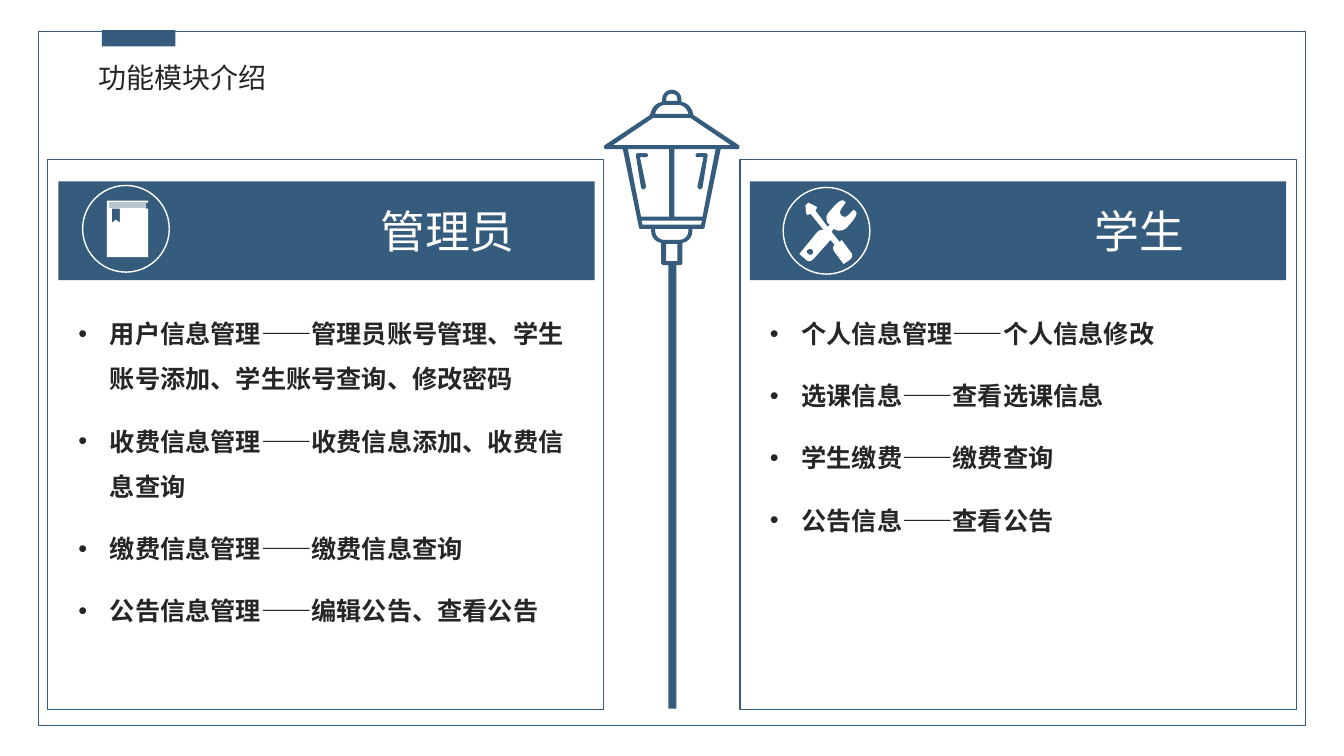
from lxml.etree import SubElement
from pptx import Presentation
from pptx.dml.color import RGBColor
from pptx.enum.shapes import MSO_SHAPE
from pptx.enum.text import MSO_ANCHOR, PP_ALIGN
from pptx.oxml.ns import qn
from pptx.util import Pt

COLORS = {"blue": "355C7D", "white": "FFFFFF", "text": "262626"}
FONT = "Noto Sans CJK SC"
UNIT = Pt(0.72)  # icon outlines are given in this grid unit
LAMP_CENTER = 666.5

# Right half of each lamp contour: x from the lamp's axis, six numbers for a curve
LAMP_HALVES = [
    [(0, 89), (5, 89, 9.5, 93, 9.5, 98), (9.5, 101), (16.5, 102, 20.5, 108, 21.5, 114),
     (66.5, 144), (67.5, 145, 67.5, 148, 65.5, 148), (48.5, 148), (32.5, 226),
     (32.5, 227, 31.5, 227, 30.5, 227), (20.5, 227), (20.5, 229),
     (20.5, 235, 16.5, 240, 10.5, 241), (10.5, 261), (10.5, 262, 9.5, 263, 7.5, 263), (0, 263)],
    [(0, 93), (3, 93, 5.5, 95, 5.5, 98), (5.5, 100), (0, 100)],
    [(0, 104), (6, 104), (11.5, 104, 15.5, 108, 16.5, 113), (0, 113)],
    [(0, 117), (18.5, 117), (58.5, 144), (0, 144)],
    [(0, 219), (30, 219), (29, 223), (0, 223)],
    [(0, 227), (16.5, 227), (16.5, 229), (16.5, 234, 12.5, 238, 7.5, 238), (0, 238)],
    [(0, 242), (5.5, 242), (5.5, 259), (0, 259)],
]
# Contours that stand once on each side of the axis
LAMP_SIDES = [
    [(2.5, 148), (2.5, 215), (30.5, 215), (43.5, 148)],
    [(25.5, 152), (33.5, 152), (34.5, 152, 36, 153, 35.5, 155), (30.5, 186),
     (30, 187, 29, 188, 27.5, 188), (26.5, 187, 25.5, 186, 25.5, 185), (31.5, 156),
     (25.5, 156), (23, 156, 23, 152, 25.5, 152)],
]
TOOLS = [
    [(849, 210), (847, 208), (842, 212, 840, 218, 835, 214), (831, 210, 835, 207, 839, 201),
     (839, 201, 838, 200, 837, 199), (835, 198, 832, 200, 828, 204), (822, 211),
     (819, 214, 819, 220, 823, 223), (821, 225), (809, 209), (810, 207, 811, 206, 810, 205),
     (802, 201), (799, 204), (800, 212), (800, 214, 803, 213, 804, 212), (817, 228),
     (815, 228, 813, 228, 811, 230), (793, 252), (800, 258), (802, 260, 805, 259, 807, 257),
     (824, 238), (828, 243), (826, 245, 826, 247, 828, 250), (837, 262), (844, 257),
     (846, 255, 846, 252, 844, 250), (835, 238), (833, 240), (825, 230), (827, 227),
     (831, 230, 837, 229, 840, 226), (846, 219), (849, 215, 851, 211, 849, 210)],
    [(806, 252), (805, 253, 803, 253, 802, 252), (800, 251, 800, 249, 801, 248),
     (803, 247, 804, 246, 806, 248), (807, 249, 807, 251, 806, 252)],
]
BOOK = [(119, 207), (119, 221), (115, 218), (111, 221), (111, 207)]
for step in range(12):  # page edges, drawn as a zigzag
    edges = (108, 145) if step % 2 == 0 else (145, 108)
    BOOK += [(x, 207 - step / 2) for x in edges]
BOOK += [(108, 201), (147, 201), (147, 199), (106, 199), (106, 255), (147, 255), (147, 207)]

PANELS = [
    {"left": 33.84, "title": "管理员", "circle": (59.04, 132.48), "body_height": 236.16,
     "icon": [BOOK], "bar_offset": 7.92,
     "items": ["用户信息管理——管理员账号管理、学生账号添加、学生账号查询、修改密码",
               "收费信息管理——收费信息添加、收费信息查询",
               "缴费信息管理——缴费信息查询",
               "公告信息管理——编辑公告、查看公告"]},
    {"left": 528.48, "title": "学生", "circle": (559.44, 133.92), "body_height": 170.64,
     "icon": TOOLS, "bar_offset": 7.2,
     "items": ["个人信息管理——个人信息修改", "选课信息——查看选课信息",
               "学生缴费——缴费查询", "公告信息——查看公告"]},
]

presentation = Presentation()
presentation.slide_width, presentation.slide_height = Pt(960), Pt(540)
slide = presentation.slides.add_slide(presentation.slide_layouts[6])


def flatten(contour):
    """Turn the curves of a contour into short straight steps."""
    points = []
    for part in contour:
        if len(part) == 2:
            points.append(part)
            continue
        controls = [points[-1], part[:2], part[2:4], part[4:]]
        for t in (0.2, 0.4, 0.6, 0.8, 1):
            weights = ((1 - t) ** 3, 3 * t * (1 - t) ** 2, 3 * t * t * (1 - t), t ** 3)
            points.append(tuple(sum(w * c[axis] for w, c in zip(weights, controls))
                                for axis in (0, 1)))
    return points


def style(item, fill=None, line=None, text=None, size=18, bold=None):
    """Set the fill and line of a shape, or the font of a paragraph if text is given."""
    if text:
        item.text = text
        item.font.size, item.font.name, item.font.bold = Pt(size), FONT, bold
        item.font.color.rgb = RGBColor.from_string(COLORS[fill])
        defaults = item._p.pPr.find(qn("a:defRPr"))
        SubElement(defaults, qn("a:ea"), typeface=FONT)
        return
    item.shadow.inherit = False
    for part, color in ((item.fill, fill), (item.line.fill, line)):
        if color:
            part.solid()
            part.fore_color.rgb = RGBColor.from_string(COLORS[color])
        else:
            part.background()
    if line:
        item.line.width = Pt(1)


rectangles = [
    ((27.36, 22.32, 905.04, 496.08), None, "blue"),  # page frame
    ((72.72, 21.6, 52.56, 11.52), "blue", None),  # tab above the heading
    ((477.36, 189.36, 5.76, 316.8), "blue", None),  # lamp post
]
for box, fill, line in rectangles:
    style(slide.shapes.add_shape(MSO_SHAPE.RECTANGLE, *map(Pt, box)), fill, line)

heading = slide.shapes.add_textbox(Pt(70.56), Pt(39.6), Pt(132.48), Pt(31.68)).text_frame
heading.word_wrap = True
heading.margin_left = 0
heading.paragraphs[0].alignment = PP_ALIGN.JUSTIFY
style(heading.paragraphs[0], "text", text="功能模块介绍", size=20)

lamp = []
for half in LAMP_HALVES:
    right = flatten(half)
    outline = right + [(-x, y) for x, y in reversed(right)]
    lamp.append([(LAMP_CENTER + x, y) for x, y in outline])
for side in LAMP_SIDES:
    for sign in (1, -1):
        lamp.append([(LAMP_CENTER + sign * x, y) for x, y in flatten(side)])

icons = [(lamp, "blue")]
for panel in PANELS:
    left = panel["left"]
    frame = slide.shapes.add_shape(MSO_SHAPE.RECTANGLE, Pt(left), Pt(113.76), Pt(397.44), Pt(393.12))
    style(frame, line="blue")

    bar_left = left + panel["bar_offset"]
    bar = slide.shapes.add_shape(MSO_SHAPE.RECTANGLE, Pt(bar_left), Pt(129.6), Pt(383.04), Pt(70.56))
    style(bar, "blue")
    bar.text_frame.margin_left = Pt(180)
    bar.text_frame.vertical_anchor = MSO_ANCHOR.MIDDLE
    title = bar.text_frame.paragraphs[0]
    title.alignment = PP_ALIGN.CENTER
    style(title, "white", text=panel["title"], size=32)

    circle = slide.shapes.add_shape(MSO_SHAPE.OVAL, *map(Pt, panel["circle"]), Pt(61.92), Pt(61.92))
    style(circle, line="white")
    icons.append(([flatten(contour) for contour in panel["icon"]], "white"))

    body = slide.shapes.add_textbox(Pt(bar_left + 7.2), Pt(213.12), Pt(368.64), Pt(panel["body_height"]))
    body.text_frame.word_wrap = True
    for index, item in enumerate(panel["items"]):
        paragraph = body.text_frame.paragraphs[0] if index == 0 else body.text_frame.add_paragraph()
        paragraph.line_spacing = 1.5
        paragraph.space_before = paragraph.space_after = Pt(6)
        properties = paragraph._p.get_or_add_pPr()
        properties.set("marL", str(Pt(22.5)))
        properties.set("indent", str(-Pt(22.5)))
        SubElement(properties, qn("a:buFont"), typeface="Arial")
        SubElement(properties, qn("a:buChar"), char="•")
        style(paragraph, "text", text=item, bold=True)

for contours, color in icons:
    builder = None
    for contour in contours:
        points = [(x * UNIT, y * UNIT) for x, y in contour]
        if builder is None:
            builder = slide.shapes.build_freeform(*points[0])
        else:
            builder.move_to(*points[0])
        builder.add_line_segments(points[1:], close=True)
    style(builder.convert_to_shape(), color)

presentation.save("out.pptx")
